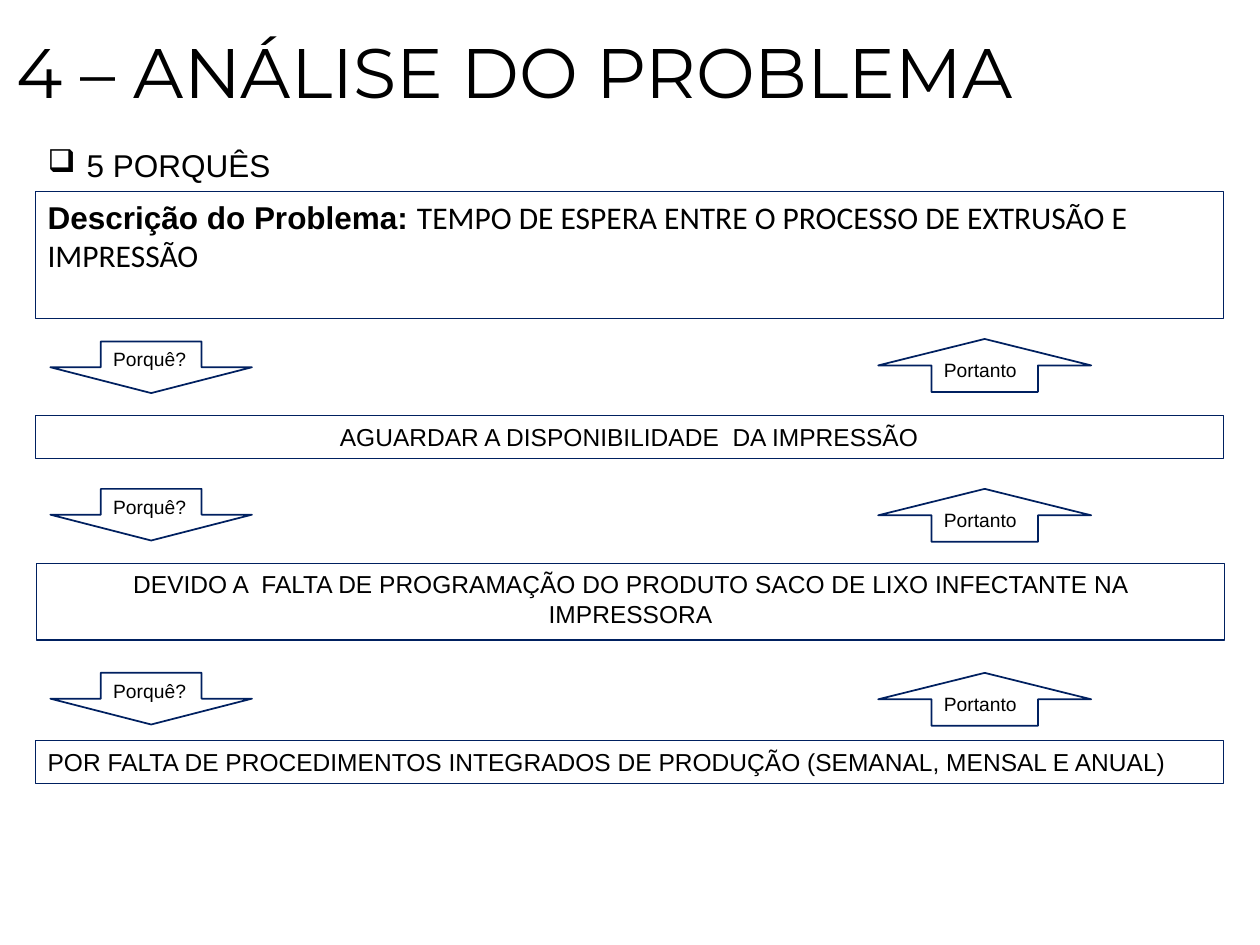
from dataclasses import dataclass

import pptx
import pptx.dml.color
import pptx.enum.shapes
import pptx.enum.text
import pptx.util
from lxml import etree

Inches = pptx.util.Inches
Pt = pptx.util.Pt
RGBColor = pptx.dml.color.RGBColor
MSO_SHAPE = pptx.enum.shapes.MSO_SHAPE
PP_ALIGN = pptx.enum.text.PP_ALIGN
MSO_ANCHOR = pptx.enum.text.MSO_ANCHOR


@dataclass(frozen=True)
class Theme:
    text: RGBColor = RGBColor(0, 0, 0)
    line: RGBColor = RGBColor(0x00, 0x20, 0x60)
    title_font: str = "Montserrat"
    body_font: str = "Arial"
    problem_font: str = "Calibri"
    title_size: int = 40
    heading_size: int = 18
    cause_size: int = 14
    arrow_size: int = 11


THEME = Theme()
BOX_LEFT, BOX_WIDTH = 0.28, 9.43

# Each cause: top, height, left, alignment, text
CAUSES = [
    (3.3, 0.34, BOX_LEFT, PP_ALIGN.CENTER, "AGUARDAR A DISPONIBILIDADE  DA IMPRESSÃO"),
    (4.47, 0.61, 0.29, PP_ALIGN.CENTER,
     "DEVIDO A  FALTA DE PROGRAMAÇÃO DO PRODUTO SACO DE LIXO INFECTANTE NA IMPRESSORA"),
    (5.88, 0.34, BOX_LEFT, PP_ALIGN.LEFT,
     "POR FALTA DE PROCEDIMENTOS INTEGRADOS DE PRODUÇÃO (SEMANAL, MENSAL E ANUAL)"),
]
# Tops of each "Porquê?" and "Portanto" pair
ARROW_TOPS = [(2.71, 2.69), (3.88, 3.88), (5.34, 5.34)]


def add_run(p, text, size, font=THEME.body_font, bold=False):
    r = p.add_run()
    r.text = text
    r.font.name = font
    r.font.size = Pt(size)
    r.font.bold = bold
    r.font.color.rgb = THEME.text


def add_text_box(slide, left, top, width, height):
    tb = slide.shapes.add_textbox(Inches(left), Inches(top), Inches(width), Inches(height))
    tb.text_frame.word_wrap = True
    return tb.text_frame


def add_outline(slide, kind, left, top, width, height, line_width, align=PP_ALIGN.LEFT):
    """Add an unfilled, outlined shape and return its first paragraph."""
    sp = slide.shapes.add_shape(kind, Inches(left), Inches(top), Inches(width), Inches(height))
    sp.shadow.inherit = False
    sp.fill.background()
    sp.line.color.rgb = THEME.line
    sp.line.width = Pt(line_width)
    tf = sp.text_frame
    tf.word_wrap = True
    tf.vertical_anchor = MSO_ANCHOR.TOP
    p = tf.paragraphs[0]
    p.alignment = align
    return p


def add_title(slide, text):
    tf = add_text_box(slide, 0.03, 0.18, 8.91, 0.77)
    tf.vertical_anchor = MSO_ANCHOR.BOTTOM
    p = tf.paragraphs[0]
    p.line_spacing = 0.9
    p.space_before = Pt(10)
    add_run(p, text, THEME.title_size, THEME.title_font)


def add_bullet_heading(slide, text):
    p = add_text_box(slide, BOX_LEFT, 1.11, 7.76, 0.4).paragraphs[0]
    pPr = p._p.get_or_add_pPr()
    indent = Inches(0.31)
    pPr.set("marL", str(indent))
    pPr.set("indent", str(-indent))
    bullet = etree.SubElement(pPr, pptx.oxml.ns.qn("a:buChar"))
    bullet.set("char", "❑")
    add_run(p, text, THEME.heading_size)


def add_problem(slide, label, text):
    p = add_outline(slide, MSO_SHAPE.RECTANGLE, BOX_LEFT, 1.52, BOX_WIDTH, 1.01, 0.75)
    add_run(p, label, THEME.heading_size, bold=True)
    add_run(p, text, THEME.heading_size, THEME.problem_font)


def add_cause(slide, top, height, left, align, text):
    p = add_outline(slide, MSO_SHAPE.RECTANGLE, left, top, BOX_WIDTH, height, 0.75, align)
    add_run(p, text, THEME.cause_size)


def add_arrow_pair(slide, down_top, up_top):
    down = add_outline(slide, MSO_SHAPE.DOWN_ARROW, 0.4, down_top, 1.6, 0.41, 1)
    add_run(down, "Porquê?", THEME.arrow_size)
    up = add_outline(slide, MSO_SHAPE.UP_ARROW, 6.97, up_top, 1.69, 0.42, 1)
    add_run(up, "Portanto", THEME.arrow_size)


def main():
    prs = pptx.Presentation()
    prs.slide_width, prs.slide_height = Inches(10), Inches(7.5)
    slide = prs.slides.add_slide(prs.slide_layouts[6])
    add_title(slide, "4 – ANÁLISE DO PROBLEMA")
    add_bullet_heading(slide, "5 PORQUÊS")
    add_problem(slide, "Descrição do Problema: ",
                "TEMPO DE ESPERA ENTRE O PROCESSO DE EXTRUSÃO E IMPRESSÃO")
    for cause in CAUSES:
        add_cause(slide, *cause)
    for tops in ARROW_TOPS:
        add_arrow_pair(slide, *tops)
    prs.save("out.pptx")


if __name__ == "__main__":
    main()
